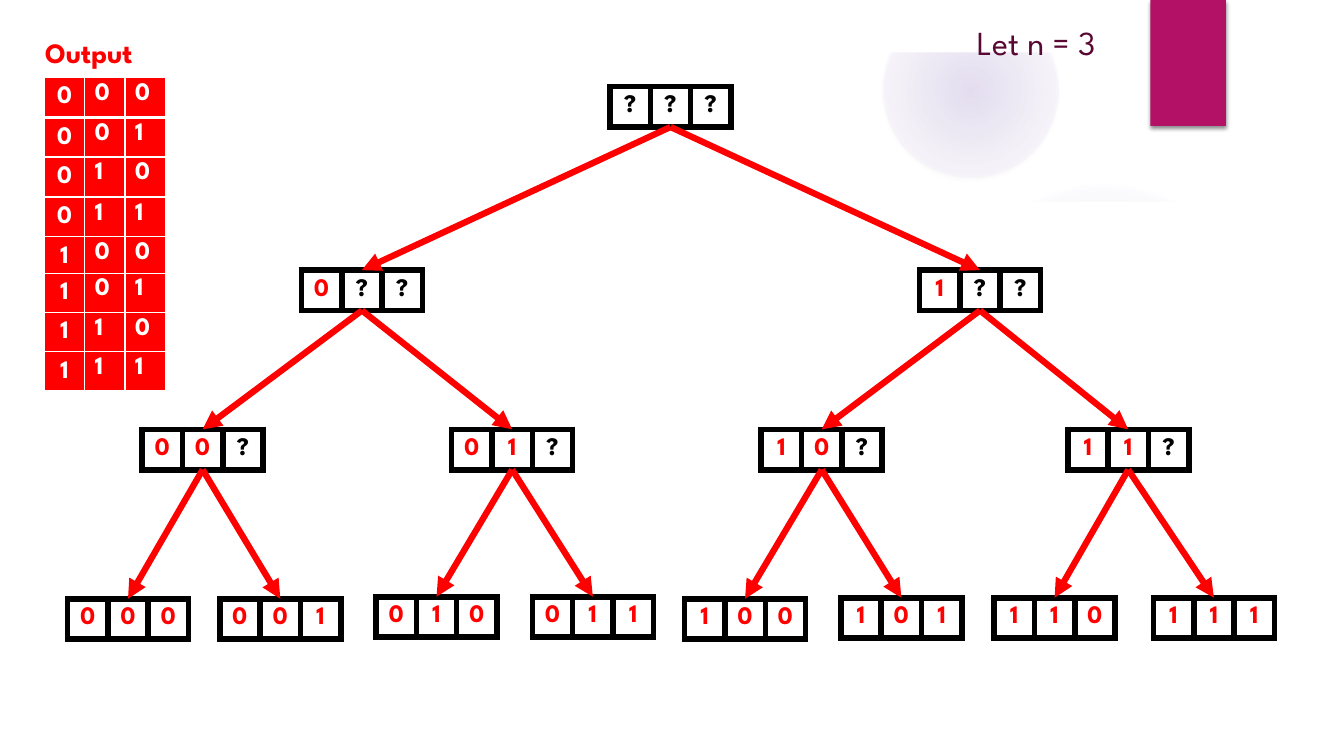
"""Build a slide showing the tree of all binary strings of length three."""
from pptx import Presentation, oxml, util as u
from pptx.dml import color
from pptx.enum import shapes, text
from pptx.oxml import ns

FONT = "League Spartan"
RED, BLACK, WHITE = "FF0000", "000000", "FFFFFF"
LILAC, MAGENTA, PLUM = "9B6BF2", "B31166", "590833"
CELL = 0.4
DIGITS = 3

NODES = {
    "": (6.05, 0.86),
    "1": (9.12, 2.68), "0": (2.99, 2.68),
    "11": (10.59, 4.26), "10": (7.55, 4.26), "01": (4.48, 4.26), "00": (1.41, 4.26),
    "111": (11.44, 5.93), "110": (9.86, 5.93), "101": (8.34, 5.93), "100": (6.79, 5.94),
    "011": (5.28, 5.92), "010": (3.73, 5.92), "001": (2.18, 5.94), "000": (0.67, 5.94),
}
OUTPUT_TOPS = [0.77, 1.17, 1.56, 1.96, 2.35, 2.71, 3.1, 3.49]
PANEL = [
    (0.5, 2.04), (0.5, 7), (12.84, 7), (12.84, 2.04), (12.28, 2.13), (11.72, 2.2),
    (11.15, 2.27), (10.6, 2.32), (10.04, 2.37), (9.49, 2.41), (8.94, 2.44),
    (8.13, 2.46), (7.08, 2.48), (6.07, 2.47), (5.11, 2.44), (4.01, 2.38),
    (2.83, 2.3), (1.87, 2.21), (1.13, 2.12),
]


def rgb(value):
    return color.RGBColor.from_string(value)


def element(xml):
    tag, rest = xml[1:].split(" ", 1)
    return oxml.parse_xml(f"<{tag} {ns.nsdecls('a')} {rest}")


class TreeSlide:
    """Hold the style and the current slide."""

    def __init__(self, deck):
        self.slide = deck.slides.add_slide(deck.slide_layouts[6])
        self.items = self.slide.shapes

    def style_run(self, paragraph, size, hue, bold):
        font = paragraph.runs[0].font
        font.name, font.size, font.bold = FONT, u.Pt(size), bold
        font.color.rgb = rgb(hue)

    def shape(self, kind, left, top, width, height, fill, shadow=False):
        item = self.items.add_shape(kind, *map(u.Inches, (left, top, width, height)))
        item.shadow.inherit = False
        item.fill.solid()
        item.fill.fore_color.rgb = rgb(fill)
        item.line.fill.background()
        if shadow:
            effects = item._element.spPr.find(ns.qn("a:effectLst"))
            effects.append(element(
                '<a:outerShdw blurRad="38100" dist="25400" dir="5400000" rotWithShape="0">'
                f'<a:srgbClr val="{BLACK}"><a:alpha val="45000"/></a:srgbClr></a:outerShdw>'))
        return item

    def glow(self, left, top, size, opacity):
        circle = self.shape(shapes.MSO_SHAPE.OVAL, left, top, size, size, LILAC, True)
        stops = "".join(
            f'<a:gs pos="{pos}"><a:srgbClr val="{LILAC}"><a:alpha val="{alpha}"/>'
            "</a:srgbClr></a:gs>"
            for pos, alpha in ((0, opacity * 1000), (100000, 0)))
        properties = circle._element.spPr
        properties.replace(properties.find(ns.qn("a:solidFill")), element(
            f'<a:gradFill rotWithShape="1"><a:gsLst>{stops}</a:gsLst><a:path path="circle">'
            '<a:fillToRect l="50000" t="50000" r="50000" b="50000"/></a:path></a:gradFill>'))

    def polygon(self, points, fill):
        builder = self.items.build_freeform(*points[0], scale=u.Inches(1))
        builder.add_line_segments(points[1:], close=True)
        outline = builder.convert_to_shape()
        outline.shadow.inherit = False
        outline.fill.solid()
        outline.fill.fore_color.rgb = rgb(fill)
        outline.line.fill.background()

    def label(self, words, left, top, width, height, size, hue, bold=False):
        frame = self.items.add_textbox(
            *map(u.Inches, (left, top, width, height))).text_frame
        frame.word_wrap = False
        frame.auto_size = text.MSO_AUTO_SIZE.SHAPE_TO_FIT_TEXT
        frame.text = words
        self.style_run(frame.paragraphs[0], size, hue, bold)

    def cell(self, cell, symbol, hue, fill, borders, centred):
        properties = cell._tc.get_or_add_tcPr()
        for side, (edge, points) in borders.items():
            properties.append(element(
                f'<a:ln{side} w="{u.Pt(points)}"><a:solidFill><a:srgbClr val="{edge}"/>'
                f"</a:solidFill></a:ln{side}>"))
        cell.fill.solid()
        cell.fill.fore_color.rgb = rgb(fill)
        cell.text_frame.text = symbol
        paragraph = cell.text_frame.paragraphs[0]
        if centred:
            cell.vertical_anchor = text.MSO_ANCHOR.MIDDLE
            paragraph.alignment = text.PP_ALIGN.CENTER
        self.style_run(paragraph, 18, hue, True)

    def strip(self, symbols, left, top, height):
        table = self.items.add_table(
            1, len(symbols), *map(u.Inches, (left, top, CELL * len(symbols), height))).table
        table.first_row = table.horz_banding = False
        return table.rows[0].cells

    def node(self, prefix, left, top):
        symbols = prefix.ljust(DIGITS, "?")
        borders = {side: (BLACK, 4.48) for side in "LRTB"}
        for cell, symbol in zip(self.strip(symbols, left, top, CELL), symbols):
            self.cell(cell, symbol, BLACK if symbol == "?" else RED, WHITE, borders, True)

    def output_row(self, symbols, left, top):
        borders = {side: (WHITE, 3 if side == "B" else 0.96) for side in "LRTB"}
        for column, cell in enumerate(self.strip(symbols, left, top, 0.3)):
            self.cell(cell, symbols[column], WHITE, RED, borders, column == 0)

    def arrow(self, parent, child):
        middle = CELL * DIGITS / 2
        ends = (parent[0] + middle, parent[1] + CELL, child[0] + middle, child[1])
        branch = self.items.add_connector(
            shapes.MSO_CONNECTOR.STRAIGHT, *map(u.Inches, ends))
        branch.line.width = u.Pt(4.5)
        branch.line.color.rgb = rgb(RED)
        branch.line._get_or_add_ln().append(element('<a:tailEnd type="triangle"/>'))
        branch._element.spPr.append(element("<a:effectLst />"))


def main():
    deck = Presentation()
    deck.slide_width, deck.slide_height = u.Inches(13.33), u.Inches(7.5)
    tree = TreeSlide(deck)
    rectangle = shapes.MSO_SHAPE.RECTANGLE

    tree.glow(9.41, 1.83, 3.08, 7)
    tree.glow(8.75, 0.01, 1.75, 14)
    tree.polygon(PANEL, WHITE)
    tree.shape(rectangle, 0, 0, 13.33, 0.52, WHITE)
    tree.shape(rectangle, 11.41, 0, 0.75, 1.25, MAGENTA, True)
    tree.label("Let n = 3", 9.59, 0.17, 1.73, 0.5, 24, PLUM)

    for prefix, place in NODES.items():
        tree.node(prefix, *place)
    for prefix, place in NODES.items():
        if prefix:
            tree.arrow(NODES[prefix[:-1]], place)

    for number, top in enumerate(OUTPUT_TOPS):
        tree.output_row(f"{number:03b}", 0.44, top)
    tree.label("Output", 0.35, 0.3, 1.3, 0.43, 20, RED, True)
    deck.save("out.pptx")


if __name__ == "__main__":
    main()
